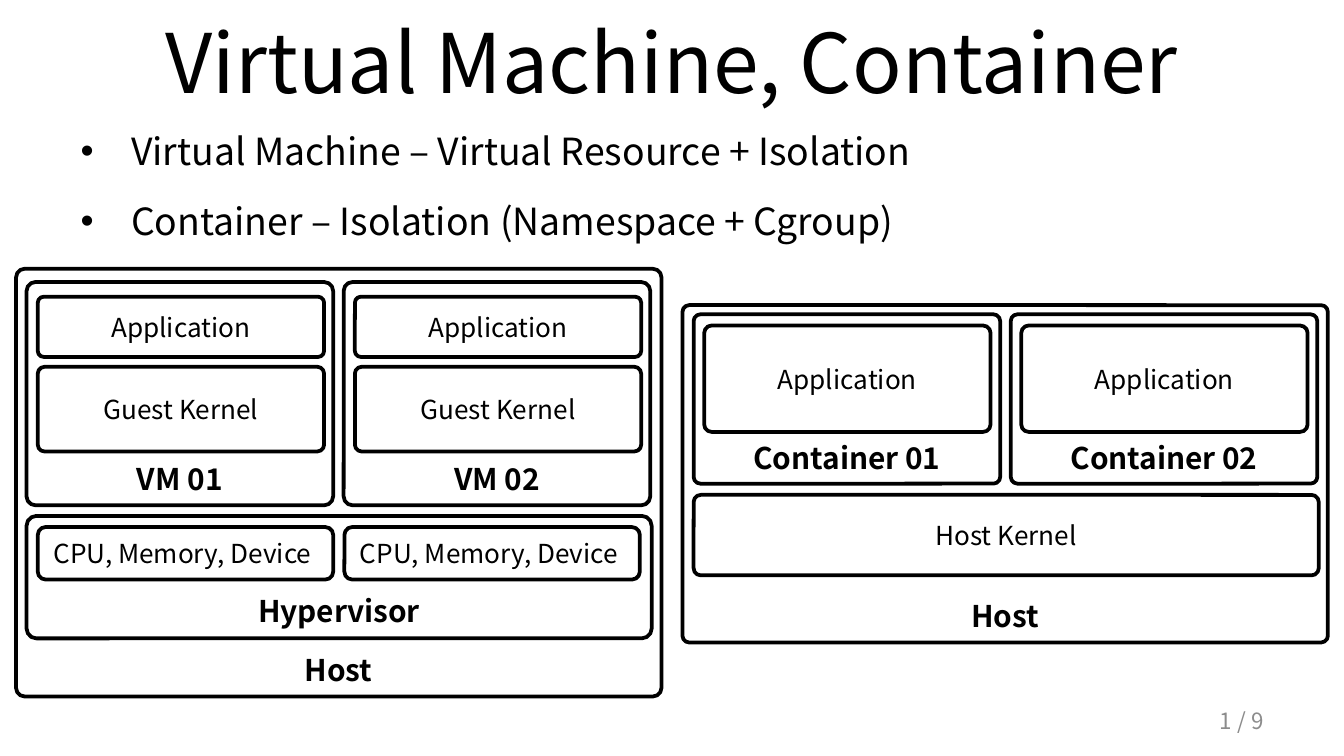
from dataclasses import dataclass

from pptx import Presentation
from pptx.dml.color import RGBColor
from pptx.enum.shapes import MSO_SHAPE
from pptx.enum.text import MSO_ANCHOR, MSO_AUTO_SIZE, PP_ALIGN
from pptx.util import Emu, Pt

EMU_PER_PX = 4762.5  # 1920 px across 10 inches


@dataclass(frozen=True)
class Theme:
    font: str = "Noto Sans CJK KR"
    ink: RGBColor = RGBColor(0x00, 0x00, 0x00)
    muted: RGBColor = RGBColor(0x8C, 0x8C, 0x8C)
    title: int = 44
    body: int = 20
    heading: int = 16
    label: int = 14
    page: int = 12
    outline: int = 2


@dataclass(frozen=True)
class Box:
    label: str
    left: int
    top: int
    width: int
    height: int
    corner: float
    is_group: bool = False


THEME = Theme()

# Widths shared by both stacks, and the step between neighbouring columns
HOST_WIDTH, LAYER_WIDTH, UNIT_WIDTH, INNER_WIDTH = 922, 893, 438, 409
COLUMN_STEP = 453
CPU_WIDTH, CPU_STEP = 422, 438


def px(length: int) -> Emu:
    return Emu(round(length * EMU_PER_PX))


def place(shape, left: int, top: int, width: int, height: int) -> None:
    shape.left, shape.top = px(left), px(top)
    shape.width, shape.height = px(width), px(height)


def style_runs(paragraph, size: int, color: RGBColor = THEME.ink, bold: bool = False) -> None:
    for run in paragraph.runs:
        run.font.name = THEME.font
        run.font.size = Pt(size)
        run.font.bold = bold
        run.font.color.rgb = color


def draw_box(slide, box: Box) -> None:
    shape = slide.shapes.add_shape(
        MSO_SHAPE.ROUNDED_RECTANGLE, px(box.left), px(box.top), px(box.width), px(box.height))
    shape.adjustments[0] = box.corner
    shape.shadow.inherit = False
    shape.fill.background()
    shape.line.color.rgb = THEME.ink
    shape.line.width = Pt(THEME.outline)
    frame = shape.text_frame
    frame.text = box.label
    frame.word_wrap = True
    frame.vertical_anchor = MSO_ANCHOR.BOTTOM if box.is_group else MSO_ANCHOR.MIDDLE
    caption = frame.paragraphs[0]
    caption.alignment = PP_ALIGN.CENTER
    style_runs(caption, THEME.heading if box.is_group else THEME.label, bold=box.is_group)


def vm_stack() -> list[Box]:
    boxes = [
        Box("Host", 23, 384, HOST_WIDTH, 611, 0.02, True),
        Box("Hypervisor", 38, 737, LAYER_WIDTH, 175, 0.08, True),
    ]
    for column in range(2):
        shift = column * COLUMN_STEP
        boxes += [
            Box(f"VM 0{column + 1}", 38 + shift, 403, UNIT_WIDTH, 319, 0.04, True),
            Box("Application", 54 + shift, 424, INNER_WIDTH, 86, 0.1),
            Box("Guest Kernel", 54 + shift, 524, INNER_WIDTH, 121, 0.08),
            Box("CPU, Memory, Device ", 54 + column * CPU_STEP, 753, CPU_WIDTH, 75, 0.15),
        ]
    return boxes


def container_stack() -> list[Box]:
    boxes = [
        Box("Host", 975, 436, HOST_WIDTH, 482, 0.02, True),
        Box("Host Kernel", 991, 707, LAYER_WIDTH, 115, 0.09),
    ]
    for column in range(2):
        shift = column * COLUMN_STEP
        boxes += [
            Box(f"Container 0{column + 1}", 991 + shift, 449, UNIT_WIDTH, 242, 0.04, True),
            Box("Application", 1006 + shift, 465, INNER_WIDTH, 152, 0.07),
        ]
    return boxes


def fill_title(slide) -> None:
    title = slide.shapes.title
    place(title, 96, -4, 1728, 180)
    frame = title.text_frame
    frame.text = "Virtual Machine, Container"
    frame.auto_size = MSO_AUTO_SIZE.NONE
    frame.vertical_anchor = MSO_ANCHOR.MIDDLE
    frame.paragraphs[0].alignment = PP_ALIGN.CENTER
    style_runs(frame.paragraphs[0], THEME.title)


def fill_body(slide) -> None:
    body = slide.placeholders[1]
    place(body, 96, 148, 1728, 211)
    frame = body.text_frame
    frame.text = ("Virtual Machine – Virtual Resource + Isolation\n"
                  "Container – Isolation (Namespace + Cgroup)")
    frame.auto_size = MSO_AUTO_SIZE.NONE
    for index, point in enumerate(frame.paragraphs):
        properties = point._p.get_or_add_pPr()
        properties.set("marL", str(px(72)))
        properties.set("indent", str(-px(72)))
        point.line_spacing = 1.4
        point.space_before = Pt(4 if index else 0)
        style_runs(point, THEME.body)


def draw_page_number(slide) -> None:
    page = slide.shapes.add_textbox(px(1377), px(1000), px(447), px(58))
    frame = page.text_frame
    frame.text = "1 / 9"
    frame.word_wrap = True
    frame.vertical_anchor = MSO_ANCHOR.MIDDLE
    frame.paragraphs[0].alignment = PP_ALIGN.RIGHT
    style_runs(frame.paragraphs[0], THEME.page, THEME.muted)


def main() -> None:
    deck = Presentation()
    deck.slide_width, deck.slide_height = px(1920), px(1080)
    slide = deck.slides.add_slide(deck.slide_layouts[1])

    # Title and definitions
    fill_title(slide)
    fill_body(slide)

    # The two architectures, outer boxes first
    for box in vm_stack() + container_stack():
        draw_box(slide, box)

    # Footer
    draw_page_number(slide)
    deck.save("out.pptx")


if __name__ == "__main__":
    main()
